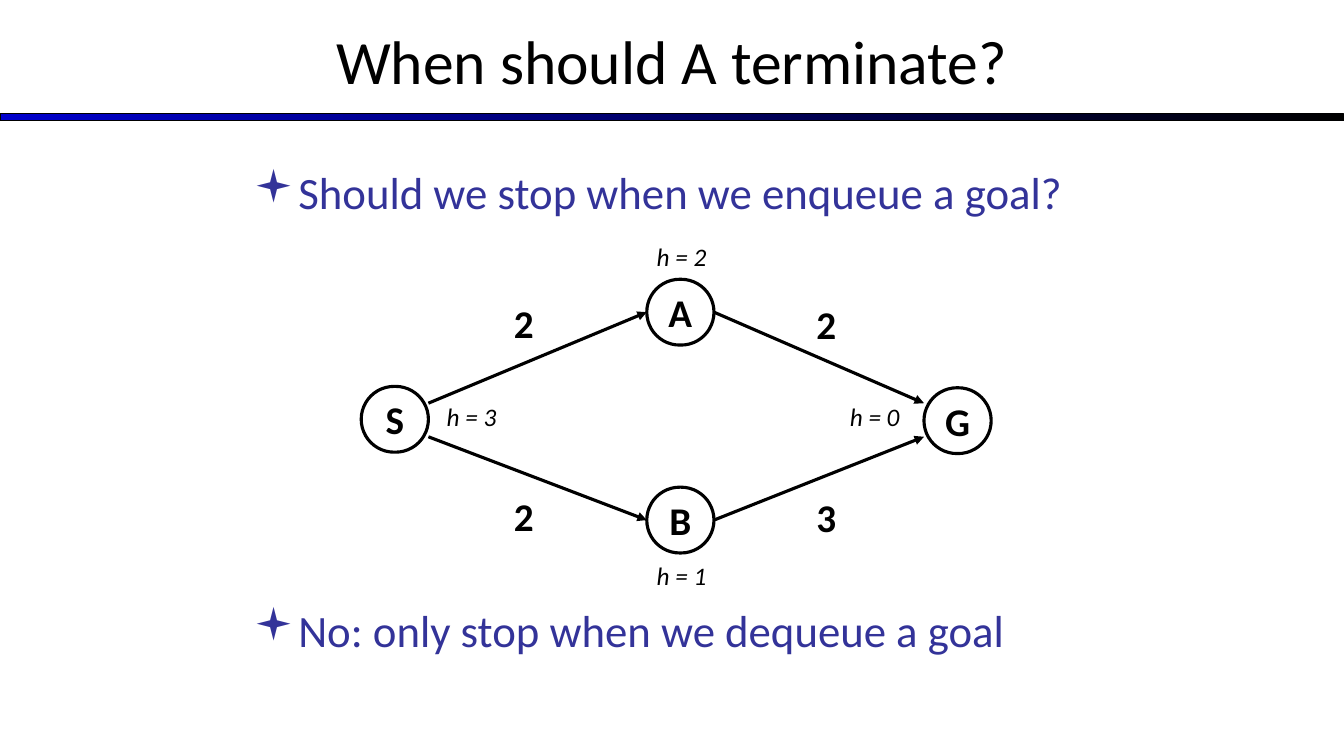
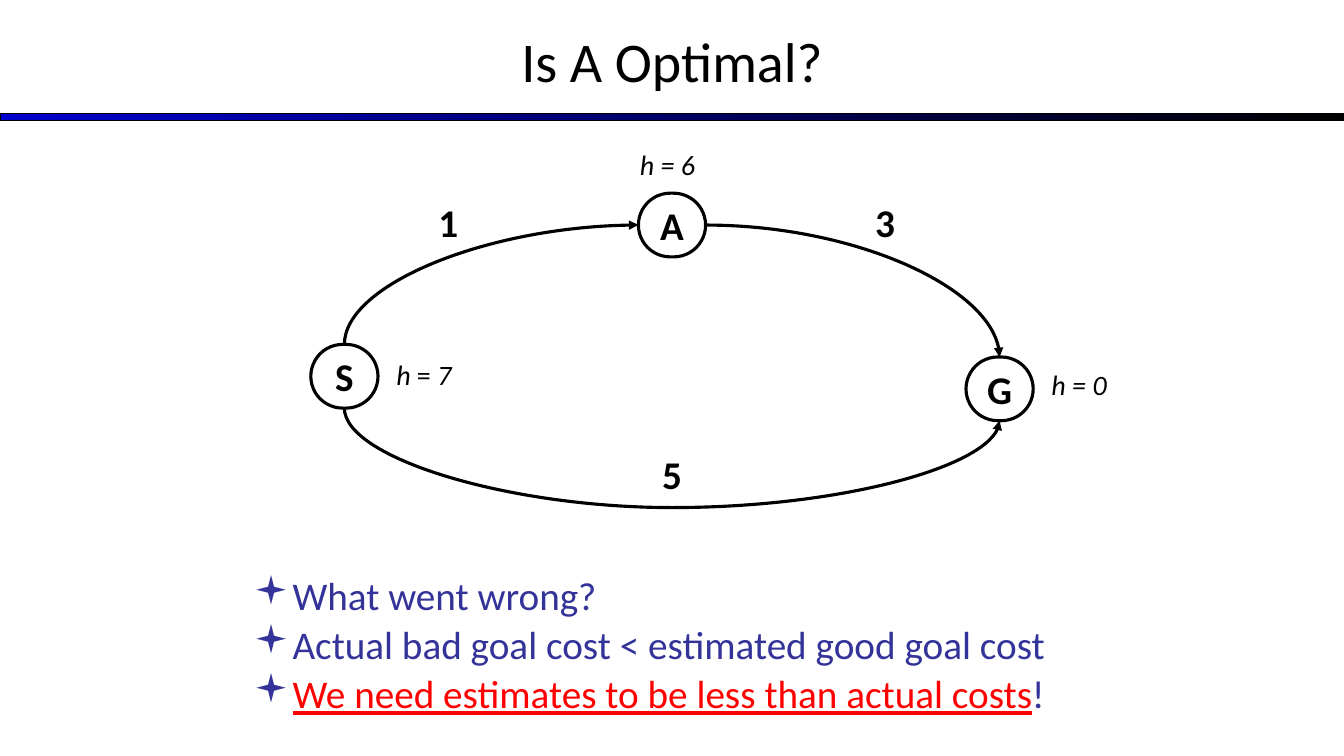
from lxml import etree
from pptx import Presentation
from pptx.dml.color import RGBColor
from pptx.enum import shapes, text
from pptx.oxml.ns import qn
from pptx.util import Pt

FONT = "Calibri"
BLACK, BLUE, NAVY, RED = "000000", "0000CC", "333399", "FF0000"
TOP, LEFT, BOTTOM, RIGHT = range(4)
BOLD, ITALIC = {"bold": True}, {"italic": True}
URGENT = {"color": RED, "underline": True}

TERMINATE = {
    "title": "When should A terminate?", "title_size": 44,
    "bullets": [[("Should we stop when we enqueue a goal?", {})],
                [("No: only stop when we dequeue a goal", {})]],
    "bullet_box": (174, 114, 766, 323), "bullet_size": 32,
    "bullet_gap": 274.5, "bullet_spacing": 1,
    "node_height": 47,
    "nodes": {"S": (258, 276), "B": (462, 348), "A": (462, 199.5), "G": (660, 277)},
    "straight": [("A", RIGHT, (660, 288), False), ("A", LEFT, (306, 288), True),
                 ("B", LEFT, (306, 312), True), ("B", RIGHT, (660, 312), False)],
    "curves": [],
    "costs": [("2", 360, 210), ("3", 576, 349), ("2", 576, 211), ("2", 360, 348)],
    "center_cost": None,
    "estimate_size": 18,
    "estimates": [([("h = 1", ITALIC)], 462, 397), ([("h = 2", ITALIC)], 462, 169),
                  ([("h = 0", ITALIC)], 600, 283), ([("h = 3", ITALIC)], 312, 283)],
}
OPTIMAL = {
    "title": "Is A Optimal?", "title_size": 40,
    "bullets": [[("What went wrong?", {})],
                [("Actual bad goal cost < estimated good goal cost", {})],
                [("We need estimates to be less than actual costs", URGENT), ("!", {})]],
    "bullet_box": (174, 408, 754, 74), "bullet_size": 28,
    "bullet_gap": 5, "bullet_spacing": 0.9,
    "node_height": 45.5,
    "nodes": {"A": (456, 138), "G": (690, 255), "S": (222, 246)},
    "straight": [],
    "curves": [("S", BOTTOM, "G", BOTTOM, "curvedConnector3", 270, ("flipH",), 71),
               ("S", TOP, "A", LEFT, "curvedConnector2", 90, ("flipH", "flipV"), 0),
               ("A", RIGHT, "G", TOP, "curvedConnector2", 0, (), 0)],
    "costs": [("1", 306, 138), ("3", 618, 138)],
    "center_cost": ("5", 318),
    "estimate_size": 20,
    "estimates": [([("h = 6", ITALIC)], 450, 102), ([("h = 0", ITALIC)], 744, 259),
                  ([("h", ITALIC), (" = ", {}), ("7", ITALIC)], 276, 252)],
}


def rgb(color):
    return RGBColor.from_string(color)


def points(values):
    return [Pt(value) for value in values]


def add_runs(para, runs, size, color=BLACK):
    for words, style in runs:
        span = para.add_run()
        span.text = words
        font = span.font
        font.name, font.size = FONT, Pt(size)
        font.color.rgb = rgb(style.get("color", color))
        font.bold = style.get("bold", False)
        font.italic = style.get("italic", False)
        font.underline = style.get("underline", False)


def add_box(page, place):
    box = page.shapes.add_textbox(*points(place))
    box.text_frame.word_wrap = True
    return box.text_frame


def add_label(page, runs, place, size, align=text.PP_ALIGN.LEFT):
    para = add_box(page, place).paragraphs[0]
    para.alignment = align
    add_runs(para, runs, size)


def add_header(page, title, size):
    band = page.shapes.add_shape(shapes.MSO_SHAPE.RECTANGLE, *points((0, 81.4, 960, 5)))
    band.shadow.inherit = False
    band.fill.gradient()
    band.fill.gradient_angle = 0
    for stop, color in zip(band.fill.gradient_stops, (BLUE, BLACK)):
        stop.color.rgb = rgb(color)
    band.line.color.rgb = rgb(BLACK)
    band.line.width = Pt(0.75)
    heading = page.shapes.title
    heading.left, heading.top, heading.width, heading.height = points((0, -2, 960, 90))
    frame = heading.text_frame
    frame.auto_size = text.MSO_AUTO_SIZE.NONE
    frame.vertical_anchor = text.MSO_ANCHOR.MIDDLE
    para = frame.paragraphs[0]
    para.alignment = text.PP_ALIGN.CENTER
    add_runs(para, [(title, {})], size)


def add_bullets(page, content):
    frame = add_box(page, content["bullet_box"])
    for index, runs in enumerate(content["bullets"]):
        para = frame.add_paragraph() if index else frame.paragraphs[0]
        para.line_spacing = content["bullet_spacing"]
        if index:
            para.space_before = Pt(content["bullet_gap"])
        props = para._p.get_or_add_pPr()
        props.set("marL", str(Pt(27)))
        props.set("indent", str(Pt(-27)))
        color = etree.SubElement(props, qn("a:buClr"))
        etree.SubElement(color, qn("a:srgbClr"), val=NAVY)
        etree.SubElement(props, qn("a:buFont"), typeface="Wingdings")
        etree.SubElement(props, qn("a:buChar"), char="▪")
        add_runs(para, runs, content["bullet_size"], NAVY)


def add_node(page, name, place, height):
    node = page.shapes.add_shape(shapes.MSO_SHAPE.ROUNDED_RECTANGLE,
                                 *points((*place, 48, height)))
    node.adjustments[0] = 0.5
    node.shadow.inherit = False
    node.fill.background()
    node.line.color.rgb = rgb(BLACK)
    node.line.width = Pt(2.25)
    frame = node.text_frame
    frame.word_wrap = False
    frame.vertical_anchor = text.MSO_ANCHOR.MIDDLE
    para = frame.paragraphs[0]
    para.alignment = text.PP_ALIGN.CENTER
    add_runs(para, [(name, BOLD)], 28)
    return node


def add_arrow(page, kind, start=(0, 0), end=(0, 0)):
    arrow = page.shapes.add_connector(kind, *points((*start, *end)))
    arrow.line.color.rgb = rgb(BLACK)
    arrow.line.width = Pt(2.25)
    props = arrow.element.find(qn("p:spPr"))
    etree.SubElement(props.find(qn("a:ln")), qn("a:tailEnd"), type="triangle")
    etree.SubElement(props, qn("a:effectLst"))
    return arrow


def add_straight(page, node, site, point, incoming):
    arrow = add_arrow(page, shapes.MSO_CONNECTOR.STRAIGHT, point, point)
    join = arrow.end_connect if incoming else arrow.begin_connect
    join(node, site)


def add_curve(page, start, start_site, end, end_site, preset, turn, flips, drop):
    arrow = add_arrow(page, shapes.MSO_CONNECTOR.CURVE)
    arrow.begin_connect(start, start_site)
    arrow.end_connect(end, end_site)
    center_x = (arrow.begin_x + arrow.end_x) // 2
    center_y = (arrow.begin_y + arrow.end_y) // 2
    width, height = abs(arrow.end_x - arrow.begin_x), abs(arrow.end_y - arrow.begin_y)
    if turn:
        width, height = height, width
    arrow.left, arrow.top = center_x - width // 2, center_y - height // 2
    arrow.width, arrow.height = width, height
    props = arrow.element.find(qn("p:spPr"))
    frame = props.find(qn("a:xfrm"))
    frame.set("rot", str(turn * 60000))
    for flip in ("flipH", "flipV"):
        frame.set(flip, "1" if flip in flips else "0")
    geometry = props.find(qn("a:prstGeom"))
    geometry.set("prst", preset)
    if drop:
        guides = geometry.find(qn("a:avLst"))
        ratio = round(Pt(drop) / width * 100000)
        etree.SubElement(guides, qn("a:gd"), name="adj1", fmla=f"val {ratio}")


def add_page(deck, content):
    page = deck.slides.add_slide(deck.slide_layouts[5])
    add_header(page, content["title"], content["title_size"])
    add_bullets(page, content)
    nodes = {name: add_node(page, name, place, content["node_height"])
             for name, place in content["nodes"].items()}
    for name, site, point, incoming in content["straight"]:
        add_straight(page, nodes[name], site, point, incoming)
    for start, start_site, end, end_site, *bend in content["curves"]:
        add_curve(page, nodes[start], start_site, nodes[end], end_site, *bend)
    for cost, left, top in content["costs"]:
        add_label(page, [(cost, BOLD)], (left, top, 36, 41), 28)
    if content["center_cost"]:
        cost, top = content["center_cost"]
        add_label(page, [(cost, BOLD)], (0, top, 960, 41), 28, text.PP_ALIGN.CENTER)
    for runs, left, top in content["estimates"]:
        add_label(page, runs, (left, top, 72, 30), content["estimate_size"])


def main():
    deck = Presentation()
    deck.slide_width, deck.slide_height = points((960, 540))
    for content in (TERMINATE, OPTIMAL):
        add_page(deck, content)
    deck.save("out.pptx")


if __name__ == "__main__":
    main()
